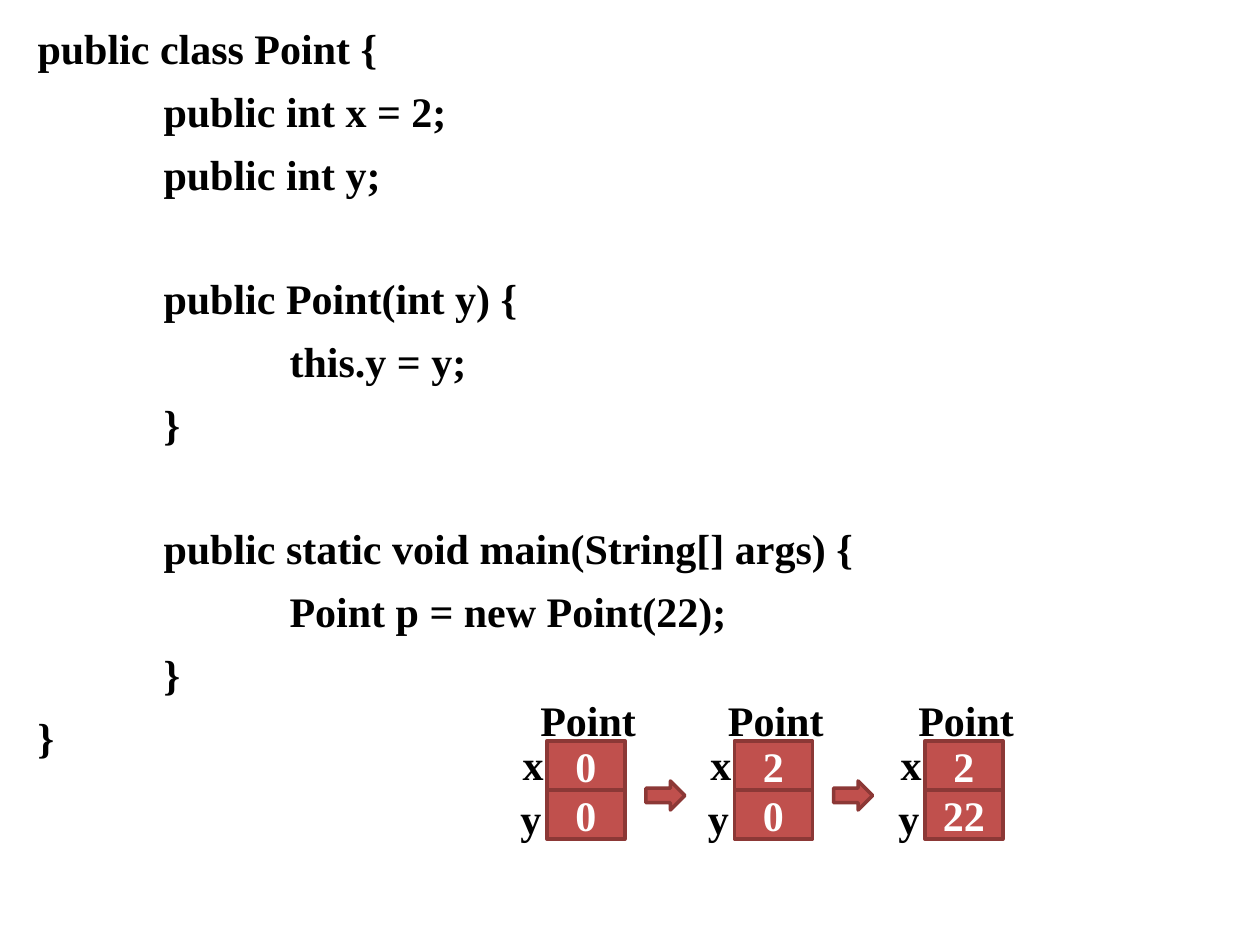
from pptx import Presentation
from pptx.dml.color import RGBColor as Rgb
from pptx.enum.shapes import MSO_SHAPE as Shape
from pptx.enum.text import MSO_ANCHOR as Anchor, MSO_AUTO_SIZE as Auto, PP_ALIGN as Align
from pptx.util import Pt

COLORS = {"ink": "000000", "fill": "C0504D", "edge": "8C3836", "light": "FFFFFF"}
FONT = {"name": "Times New Roman", "size": Pt(24), "bold": True}
TAB = 72
GAP = 7.2
BLANK = 42  # gap before a line that opens a new block

# indent level, gap before, text
CODE = [
    (0, GAP, "public class Point {"),
    (1, GAP, "public int x = 2;"),
    (1, GAP, "public int y;"),
    (1, BLANK, "public Point(int y) {"),
    (2, GAP, "this.y = y;"),
    (1, GAP, "}"),
    (1, BLANK, "public static void main(String[] args) {"),
    (2, GAP, "Point p = new Point(22);"),
    (1, GAP, "}"),
    (0, GAP, "}"),
]
STATES = [(290.2, "0", "0"), (397.4, "2", "0"), (506.2, "2", "22")]


def assign(item, values):
    for key, value in values.items():
        setattr(item, key, value)


def write(para, text, color):
    run = para.add_run()
    run.text = text
    assign(run.font, FONT)
    run.font.color.rgb = Rgb.from_string(COLORS[color])


def add_code(shapes, box):
    frame = shapes.add_textbox(*map(Pt, box)).text_frame
    frame.word_wrap = True
    for row, (level, gap, text) in enumerate(CODE):
        para = frame.add_paragraph() if row else frame.paragraphs[0]
        para.space_before = Pt(gap)
        para._p.get_or_add_pPr().set("marL", str(Pt(level * TAB)))
        write(para, text, "ink")


def add_label(shapes, box, text):
    frame = shapes.add_textbox(*map(Pt, box)).text_frame
    assign(frame, {"word_wrap": False, "auto_size": Auto.SHAPE_TO_FIT_TEXT})
    write(frame.paragraphs[0], text, "ink")


def add_solid(shapes, kind, box):
    """Add a red preset shape with a dark edge."""
    shape = shapes.add_shape(kind, *map(Pt, box))
    shape.shadow.inherit = False
    shape.fill.solid()
    shape.fill.fore_color.rgb = Rgb.from_string(COLORS["fill"])
    shape.line.color.rgb = Rgb.from_string(COLORS["edge"])
    shape.line.width = Pt(2)
    return shape


def add_object(slide, left, top, values):
    """Draw one Point in memory, with its two fields, as a group."""
    shapes = slide.shapes.add_group_shape().shapes
    wide, high = 44.6, 28.1
    for row, value in enumerate(values):
        box = left + 22.3, top + 30.2 + row * high, wide, high
        frame = add_solid(shapes, Shape.RECTANGLE, box).text_frame
        frame.vertical_anchor = Anchor.MIDDLE
        para = frame.paragraphs[0]
        para.alignment = Align.CENTER
        write(para, value, "light")
    add_label(shapes, (left + 1.4, top + 25.2, 26, 36), "x")
    add_label(shapes, (left, top + 56.2, 26, 36), "y")
    add_label(shapes, (left + 11.5, top, 69, 36), "Point")


def add_states(slide, top):
    for left, *values in STATES:
        add_object(slide, left, top, values)
    for left, *_ in STATES[:-1]:
        add_solid(slide.shapes, Shape.RIGHT_ARROW, (left + 78.9, top + 53.2, 22.3, 16.6))


def main():
    deck = Presentation()
    assign(deck, {"slide_width": Pt(720), "slide_height": Pt(540)})
    slide = deck.slides.add_slide(deck.slide_layouts[6])
    add_code(slide.shapes, (14.4, 9.4, 692, 487.4))
    add_states(slide, 393.1)
    deck.save("out.pptx")


if __name__ == "__main__":
    main()
